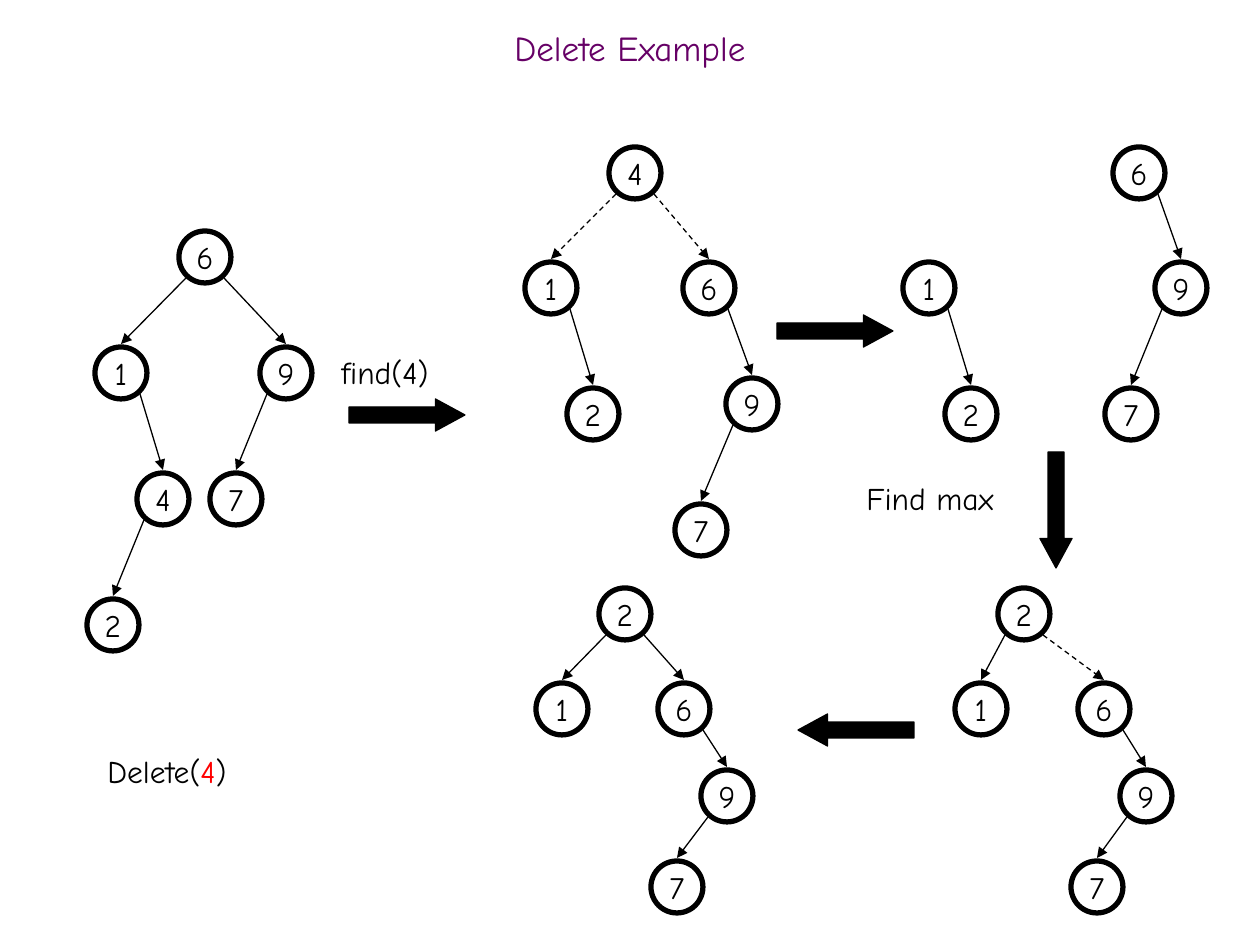
from dataclasses import dataclass

from lxml import etree
from pptx import Presentation
from pptx.dml.color import RGBColor
from pptx.enum.dml import MSO_LINE_DASH_STYLE as DASH
from pptx.enum.shapes import MSO_CONNECTOR as CONN, MSO_SHAPE as SHAPE
from pptx.enum.text import MSO_ANCHOR as ANCHOR, MSO_AUTO_SIZE as AUTO, PP_ALIGN as ALIGN
from pptx.oxml.ns import qn
from pptx.util import Emu, Pt


@dataclass(frozen=True)
class Theme:
    """Colours, type and line sizes of the slide."""
    font: str = "Comic Neue"
    ink: RGBColor = RGBColor(0, 0, 0)
    title: RGBColor = RGBColor(0x66, 0, 0x66)
    accent: RGBColor = RGBColor(0xFF, 0, 0)
    title_size: int = 20
    body_size: int = 18
    ring: float = 3
    thin: float = 0.75


THEME = Theme()
SCALE = 914400 / 126
RADIUS = 26
START_DX, START_DY, END_DY = 19, 21, 29

TREES = [
    ({"6": (205, 257), "1": (121, 373), "9": (286, 373),
      "4": (163, 499), "7": (236, 499), "2": (113, 625)},
     ["61", "69", "14", "97", "42"], []),
    ({"4": (635, 173), "1": (551, 288), "6": (709, 288),
      "2": (593, 414), "9": (752, 404), "7": (701, 530)},
     ["12", "69", "97"], ["41", "46"]),
    ({"1": (929, 288), "2": (971, 414)}, ["12"], []),
    ({"6": (1139, 173), "9": (1181, 288), "7": (1131, 414)}, ["69", "97"], []),
    ({"2": (1024, 614), "1": (981, 709), "6": (1104, 709),
      "9": (1146, 796), "7": (1097, 887)},
     ["21", "69", "97"], ["26"]),
    ({"2": (625, 614), "1": (562, 709), "6": (684, 709),
      "9": (727, 796), "7": (677, 887)},
     ["21", "26", "69", "97"], []),
]
STEPS = [(349, 399, 0), (777, 315, 0), (998, 494, 90), (798, 714, 180)]
LABELS = [
    ((95, 746, 168, 50), [("Delete(", THEME.ink), ("4", THEME.accent), (")", THEME.ink)]),
    ((329, 347, 129, 50), [("find(4)", THEME.ink)]),
    ((854, 473, 159, 50), [("Find max", THEME.ink)]),
]


def px(*values):
    """Turn pixel lengths into EMU."""
    return [Emu(round(v * SCALE)) for v in values]


def write(tf, runs, size=THEME.body_size, align=ALIGN.LEFT, anchor=ANCHOR.TOP,
          wrap=False, spacing=None):
    """Write coloured runs as one paragraph of a text frame."""
    tf.word_wrap = wrap
    tf.vertical_anchor = anchor
    p = tf.paragraphs[0]
    p.alignment = align
    p.line_spacing = spacing
    for text, color in runs:
        r = p.add_run()
        r.text = text
        r.font.name = THEME.font
        r.font.size = Pt(size)
        r.font.color.rgb = color


def add_label(s, box, runs, **fmt):
    """Add a text box."""
    tf = s.shapes.add_textbox(*px(*box)).text_frame
    write(tf, runs, **fmt)
    if not tf.word_wrap:
        tf.auto_size = AUTO.SHAPE_TO_FIT_TEXT


def add_node(s, text, x, y):
    """Add a ringed tree node centred at a point."""
    sp = s.shapes.add_shape(SHAPE.OVAL, *px(x - RADIUS, y - RADIUS, 2 * RADIUS, 2 * RADIUS))
    sp.shadow.inherit = False
    sp.fill.background()
    sp.line.color.rgb = THEME.ink
    sp.line.width = Pt(THEME.ring)
    write(sp.text_frame, [(text, THEME.ink)], align=ALIGN.CENTER, anchor=ANCHOR.MIDDLE)


def add_edge(s, parent, child, dashed=False):
    """Add an arrow from a parent's lower flank to the top of its child."""
    (x1, y1), (x2, y2) = parent, child
    side = -1 if x2 < x1 else 1
    c = s.shapes.add_connector(
        CONN.STRAIGHT, *px(x1 + side * START_DX, y1 + START_DY, x2, y2 - END_DY))
    c.line.color.rgb = THEME.ink
    c.line.width = Pt(THEME.thin)
    if dashed:
        c.line.dash_style = DASH.DASH
    etree.SubElement(c.line._get_or_add_ln(), qn("a:tailEnd"), type="triangle")
    etree.SubElement(c._element.spPr, qn("a:effectLst"))


def add_tree(s, nodes, solid, dashed):
    """Add the nodes of a tree and the edges between them."""
    for parent, child in solid + dashed:
        add_edge(s, nodes[parent], nodes[child], parent + child in dashed)
    for text, (x, y) in nodes.items():
        add_node(s, text, x, y)


def add_step(s, x, y, angle):
    """Add a block arrow that leads to the next step."""
    sp = s.shapes.add_shape(SHAPE.RIGHT_ARROW, *px(x, y, 116, 32))
    sp.adjustments[0], sp.adjustments[1] = 0.5, 0.92
    sp.rotation = angle
    sp.shadow.inherit = False
    sp.fill.solid()
    sp.fill.fore_color.rgb = THEME.ink
    sp.line.color.rgb = THEME.ink
    sp.line.width = Pt(THEME.thin)


def main():
    """Build the slide and save it."""
    prs = Presentation()
    prs.slide_width, prs.slide_height = px(1260, 945)
    s = prs.slides.add_slide(prs.slide_layouts[6])
    add_label(s, (0, 21, 1260, 63), [("Delete Example", THEME.title)],
              size=THEME.title_size, align=ALIGN.CENTER, anchor=ANCHOR.MIDDLE,
              wrap=True, spacing=0.7)
    for tree in TREES:
        add_tree(s, *tree)
    for step in STEPS:
        add_step(s, *step)
    for box, runs in LABELS:
        add_label(s, box, runs)
    prs.save("out.pptx")


if __name__ == "__main__":
    main()
